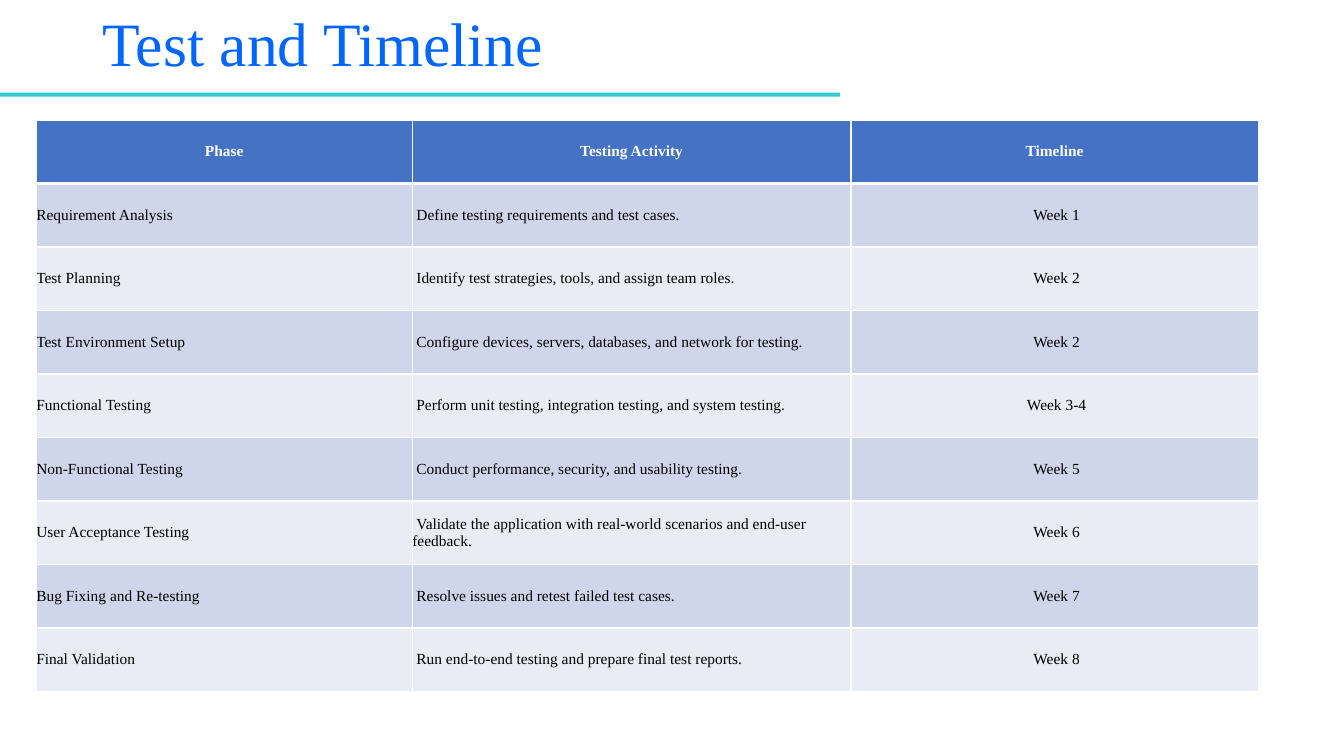
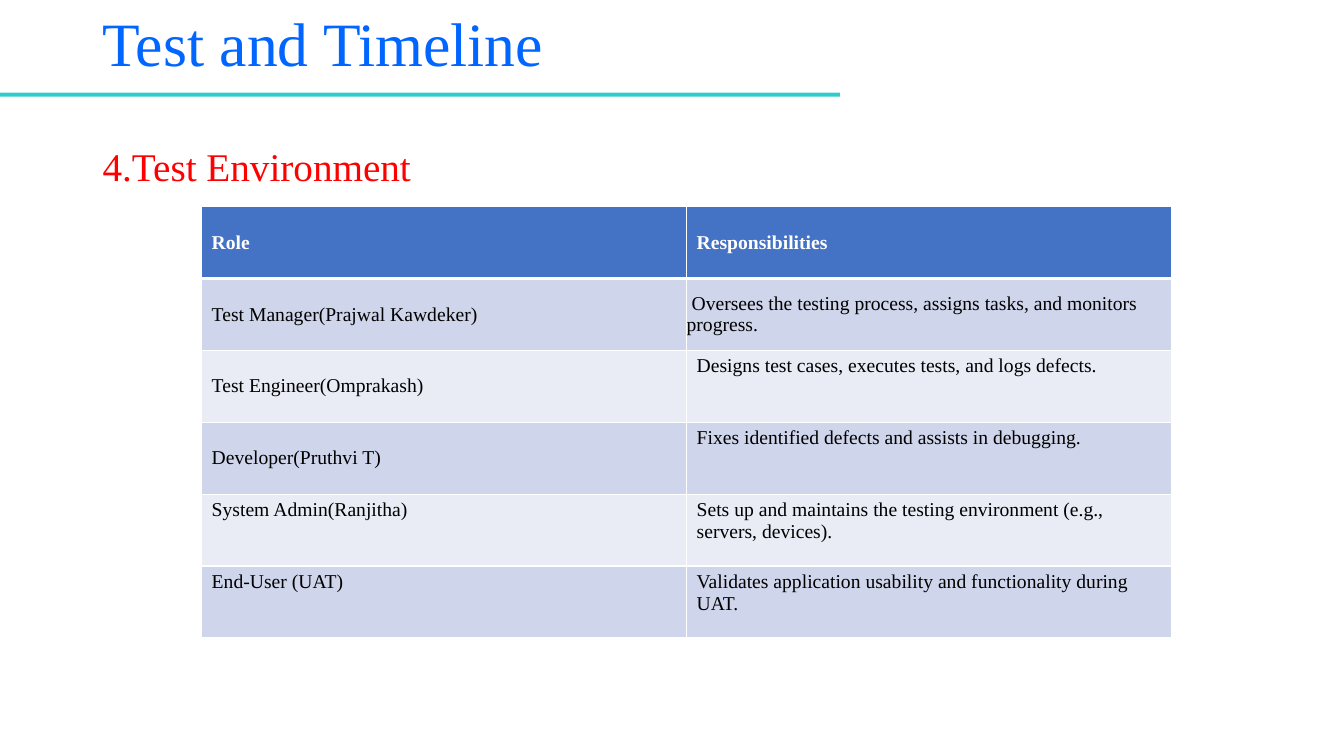
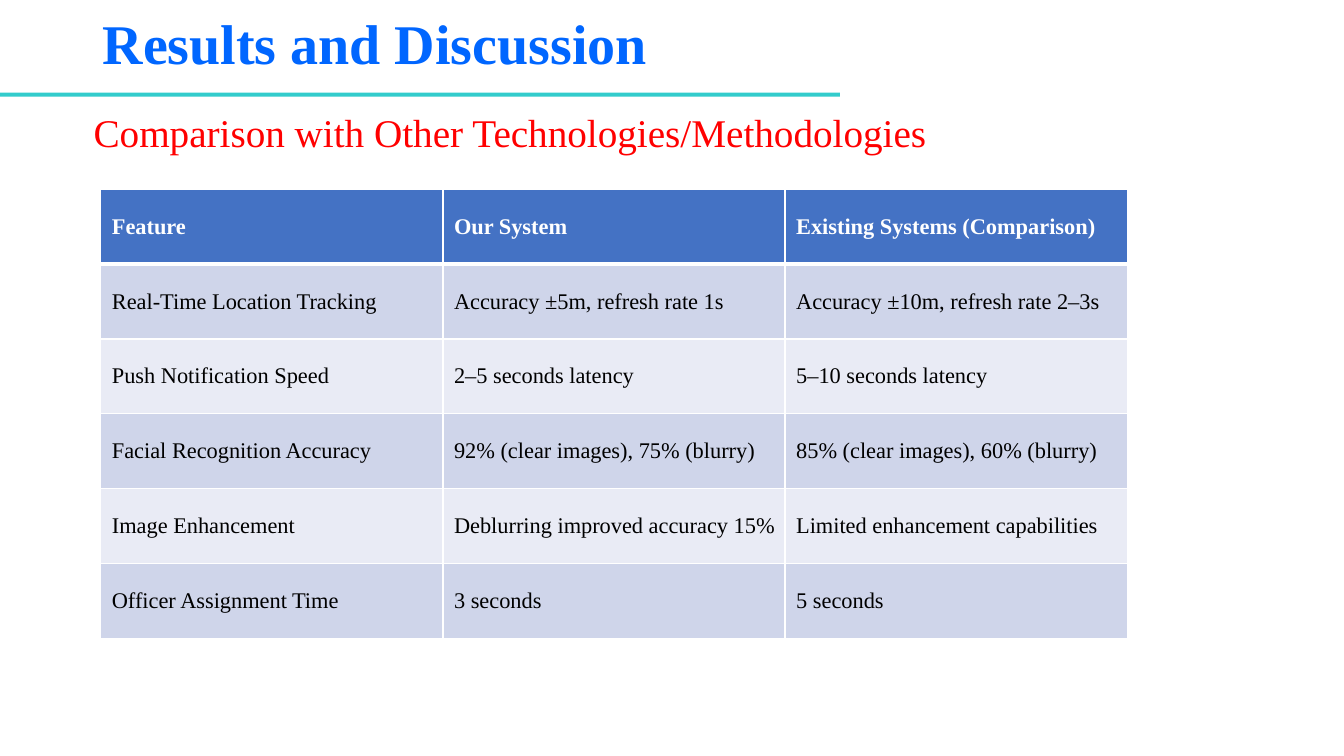
from lxml.etree import SubElement
from pptx import Presentation
from pptx.dml.color import RGBColor
from pptx.enum.shapes import MSO_SHAPE
from pptx.enum.text import MSO_ANCHOR, PP_ALIGN
from pptx.oxml.ns import qn
from pptx.util import Emu, Inches, Pt

FONT = "Times New Roman"
BLUE = RGBColor(0x00, 0x66, 0xFF)
TEAL = RGBColor(0x33, 0xCC, 0xCC)
RED = RGBColor(0xFF, 0x00, 0x00)
WHITE = RGBColor(0xFF, 0xFF, 0xFF)
BLACK = RGBColor(0x00, 0x00, 0x00)
HEADER = RGBColor(0x44, 0x72, 0xC4)
BANDS = [RGBColor(0xE9, 0xEB, 0xF5), RGBColor(0xCF, 0xD5, 0xEA)]

SLIDES = [
    {
        "title": "Test and Timeline", "title_size": 44, "title_bold": False,
        "table": {
            "at": (0.36, 1.19), "columns": [3.73, 4.35, 4.04], "row": 0.63, "size": 11,
            "indents": [0, 0.04, 0.04], "header_indent": 0,
            "centred_columns": {2}, "centred_header": True,
            "rows": [
                ("Phase", "Testing Activity", "Timeline"),
                ("Requirement Analysis", "Define testing requirements and test cases.", "Week 1"),
                ("Test Planning", "Identify test strategies, tools, and assign team roles.", "Week 2"),
                ("Test Environment Setup",
                 "Configure devices, servers, databases, and network for testing.", "Week 2"),
                ("Functional Testing",
                 "Perform unit testing, integration testing, and system testing.", "Week 3-4"),
                ("Non-Functional Testing",
                 "Conduct performance, security, and usability testing.", "Week 5"),
                ("User Acceptance Testing",
                 "Validate the application with real-world scenarios and end-user feedback.", "Week 6"),
                ("Bug Fixing and Re-testing", "Resolve issues and retest failed test cases.", "Week 7"),
                ("Final Validation", "Run end-to-end testing and prepare final test reports.", "Week 8"),
            ],
        },
    },
    {
        "title": "Test and Timeline", "title_size": 44, "title_bold": False,
        "heading": ("4.Test Environment", 0.92, 1.42),
        "table": {
            "at": (2, 2.05), "columns": [4.81] * 2, "row": 0.713, "size": 14,
            "indents": [0.1, 0.05], "header_indent": 0.1,
            "top_cells": {(2, 1), (3, 1), (4, 0), (4, 1), (5, 0), (5, 1)},
            "rows": [
                ("Role", "Responsibilities"),
                ("Test Manager(Prajwal Kawdeker)",
                 "Oversees the testing process, assigns tasks, and monitors progress."),
                ("Test Engineer(Omprakash)", "Designs test cases, executes tests, and logs defects."),
                ("Developer(Pruthvi T)", "Fixes identified defects and assists in debugging."),
                ("System Admin(Ranjitha)",
                 "Sets up and maintains the testing environment (e.g., servers, devices)."),
                ("End-User (UAT)", "Validates application usability and functionality during UAT."),
            ],
        },
    },
    {
        "title": "Results and Discussion", "title_size": 40, "title_bold": True,
        "heading": ("Comparison with Other Technologies/Methodologies", 0.83, 1.08),
        "table": {
            "at": (1, 1.88), "columns": [10.18 / 3] * 3, "row": 0.742, "size": 16,
            "indents": [0.11] * 3, "header_indent": 0.11,
            "rows": [
                ("Feature", "Our System", "Existing Systems (Comparison)"),
                ("Real-Time Location Tracking", "Accuracy ±5m, refresh rate 1s",
                 "Accuracy ±10m, refresh rate 2–3s"),
                ("Push Notification Speed", "2–5 seconds latency", "5–10 seconds latency"),
                ("Facial Recognition Accuracy", "92% (clear images), 75% (blurry)",
                 "85% (clear images), 60% (blurry)"),
                ("Image Enhancement", "Deblurring improved accuracy 15%",
                 "Limited enhancement capabilities"),
                ("Officer Assignment Time", "3 seconds", "5 seconds"),
            ],
        },
    },
]


def style(para, size, color, bold=False):
    for span in para.runs:
        span.font.name = FONT
        span.font.size = Pt(size)
        span.font.color.rgb = color
        span.font.bold = bold


def add_text(page, text, left, top, height, size, color, bold=False, anchor=MSO_ANCHOR.TOP):
    box = page.shapes.add_textbox(Inches(left), Inches(top), Inches(11.5), Inches(height))
    frame = box.text_frame
    frame.word_wrap = True
    frame.vertical_anchor = anchor
    para = frame.paragraphs[0]
    para.text = text
    para.line_spacing = 0.9
    style(para, size, color, bold)


def add_frame(page, title, size, bold):
    rule = page.shapes.add_shape(MSO_SHAPE.RECTANGLE, 0, Inches(0.92), Inches(8.33), Inches(0.04))
    rule.shadow.inherit = False
    rule.fill.solid()
    rule.fill.fore_color.rgb = TEAL
    rule.line.fill.background()
    add_text(page, title, 0.92, 0, 0.92, size, BLUE, bold, MSO_ANCHOR.MIDDLE)


def set_borders(cell, top, bottom):
    properties = cell._tc.get_or_add_tcPr()
    for side, width in (("L", 1), ("R", 1), ("T", top), ("B", bottom)):
        line = SubElement(properties, qn(f"a:ln{side}"), w=str(Pt(width)))
        fill = SubElement(line, qn("a:solidFill"))
        SubElement(fill, qn("a:srgbClr"), val=str(WHITE))


def set_margins(cell, horizontal, vertical):
    cell.margin_left = cell.margin_right = Inches(horizontal)
    cell.margin_top = cell.margin_bottom = Inches(vertical)


def fill_cell(cell, text, row, column, plan):
    is_header = row == 0
    set_borders(cell, 3 if row == 1 else 1, 3 if is_header else 1)
    cell.fill.solid()
    cell.fill.fore_color.rgb = HEADER if is_header else BANDS[row % 2]
    para = cell.text_frame.paragraphs[0]
    para.text = text
    if (row, column) in plan.get("top_cells", ()):
        cell.vertical_anchor = MSO_ANCHOR.TOP
        set_margins(cell, 0.1, 0.05)
    else:
        cell.vertical_anchor = MSO_ANCHOR.MIDDLE
        set_margins(cell, 0, 0)
        indent = plan["header_indent"] if is_header else plan["indents"][column]
        properties = para._p.get_or_add_pPr()
        properties.set("marL", "0")
        properties.set("indent", str(Inches(indent)))
    centred = plan.get("centred_header") if is_header else column in plan.get("centred_columns", ())
    para.alignment = PP_ALIGN.CENTER if centred else PP_ALIGN.LEFT
    style(para, plan["size"], WHITE if is_header else BLACK, is_header)


def add_grid(page, plan):
    rows, columns = plan["rows"], plan["columns"]
    left, top = plan["at"]
    table = page.shapes.add_table(
        len(rows), len(columns), Inches(left), Inches(top),
        Inches(sum(columns)), Inches(plan["row"] * len(rows))).table
    for column, width in zip(table.columns, columns):
        column.width = Emu(Inches(width))
    for row_index, texts in enumerate(rows):
        table.rows[row_index].height = Inches(plan["row"])
        for column_index, text in enumerate(texts):
            fill_cell(table.cell(row_index, column_index), text, row_index, column_index, plan)


def main():
    deck = Presentation()
    deck.slide_width, deck.slide_height = Inches(13.33), Inches(7.5)
    for content in SLIDES:
        page = deck.slides.add_slide(deck.slide_layouts[6])
        add_frame(page, content["title"], content["title_size"], content["title_bold"])
        if "heading" in content:
            text, left, top = content["heading"]
            add_text(page, text, left, top, 0.6, 28, RED)
        add_grid(page, content["table"])
    deck.save("out.pptx")


if __name__ == "__main__":
    main()
